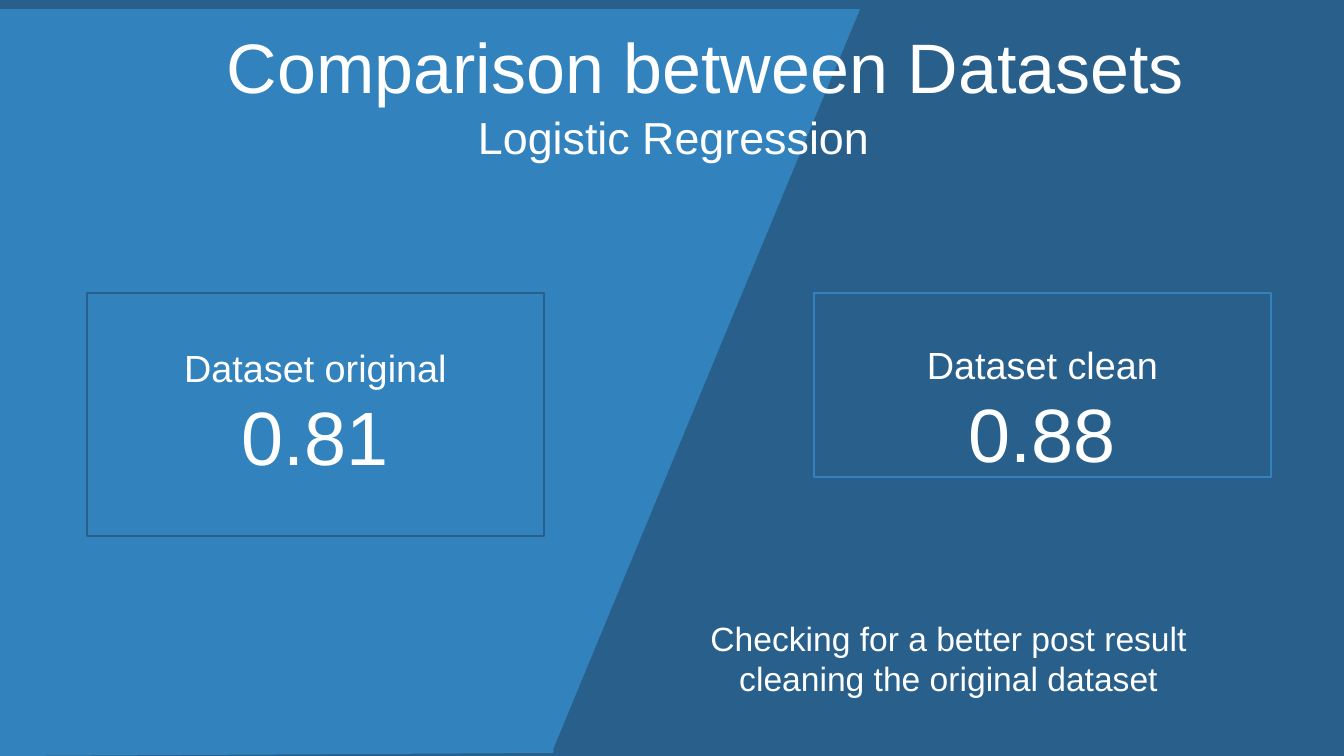
from dataclasses import dataclass

from pptx import Presentation
from pptx import util as u
from pptx.dml.color import RGBColor
from pptx.enum import shapes, text

PX = 12192000 / 1344  # EMU in one px
WIDE, HIGH = 1344, 756


@dataclass(frozen=True)
class Theme:
    font: str = "Arial"
    white: str = "FFFFFF"
    light: str = "3182BD"
    dark: str = "285F8B"
    title: int = 50
    sub: int = 32
    note: int = 24
    label: int = 27
    score: int = 54
    line: float = 1.5


LOOK = Theme()


def px(n):
    return u.Emu(round(n * PX))


def paint(fill, tone):
    fill.solid()
    fill.fore_color.rgb = RGBColor.from_string(tone)


def area(slide, points, tone):
    """Filled outline without a border."""
    pen = slide.shapes.build_freeform(*points[0], scale=PX)
    pen.add_line_segments(points[1:], close=True)
    form = pen.convert_to_shape()
    form.shadow.inherit = False
    form.line.fill.background()
    paint(form.fill, tone)


def write(frame, rows, align, top=1):
    """Rows of (words, size, line height or None)."""
    frame.word_wrap = True
    frame.vertical_anchor = text.MSO_ANCHOR.TOP
    frame.margin_left = frame.margin_right = frame.margin_bottom = 0
    frame.margin_top = px(top)
    for i, (words, size, step) in enumerate(rows):
        para = frame.add_paragraph() if i else frame.paragraphs[0]
        para.alignment = align
        if step:
            para.line_spacing = u.Pt(step)
        run = para.add_run()
        run.text = words
        run.font.name = LOOK.font
        run.font.size = u.Pt(size)
        run.font.color.rgb = RGBColor.from_string(LOOK.white)


def label(slide, box, lines, size, align=text.PP_ALIGN.LEFT):
    item = slide.shapes.add_textbox(*map(px, box))
    write(item.text_frame, [(line, size, None) for line in lines], align)


def card(slide, box, name, score, tone, top):
    """Outlined box with a dataset name above its score."""
    rect = slide.shapes.add_shape(shapes.MSO_SHAPE.RECTANGLE, *map(px, box))
    rect.shadow.inherit = False
    rect.fill.background()
    rect.line.color.rgb = RGBColor.from_string(tone)
    rect.line.width = u.Pt(LOOK.line)
    rows = [(name, LOOK.label, 32.1), (score, LOOK.score, 64.5)]
    write(rect.text_frame, rows, text.PP_ALIGN.CENTER, top)


def backdrop(slide, wide, high):
    # Bands along the top and bottom edges
    for y, deep in ((0, 10), (high - 7, 7)):
        band = [(0, y), (wide, y), (wide, y + deep), (0, y + deep)]
        area(slide, band, LOOK.dark)
    # Slanted halves
    area(slide, [(860, 9), (0, 9), (0, high), (553, high - 3)], LOOK.light)
    area(slide, [(wide, 9), (860, 9), (553, high - 6), (wide, high)], LOOK.dark)


def heading(slide, x, y):
    label(slide, (x, y, 966, 87), ["Comparison between Datasets"], LOOK.title)
    label(slide, (x + 251, y + 86, 447, 55), ["Logistic Regression"], LOOK.sub)


def scores(slide, x, y):
    card(slide, (x + 727, y, 457, 184), "Dataset clean", "0.88", LOOK.light, 49)
    card(slide, (x, y, 457, 243), "Dataset original", "0.81", LOOK.dark, 52)


def main():
    deck = Presentation()
    deck.slide_width, deck.slide_height = px(WIDE), px(HIGH)
    slide = deck.slides.add_slide(deck.slide_layouts[6])
    backdrop(slide, WIDE, HIGH)
    heading(slide, 227, 23)
    # Closing remark
    lines = ["Checking for a better post result", "cleaning the original dataset"]
    label(slide, (634, 617, 629, 84), lines, LOOK.note, text.PP_ALIGN.CENTER)
    scores(slide, 87, 293)
    deck.save("out.pptx")


if __name__ == "__main__":
    main()
